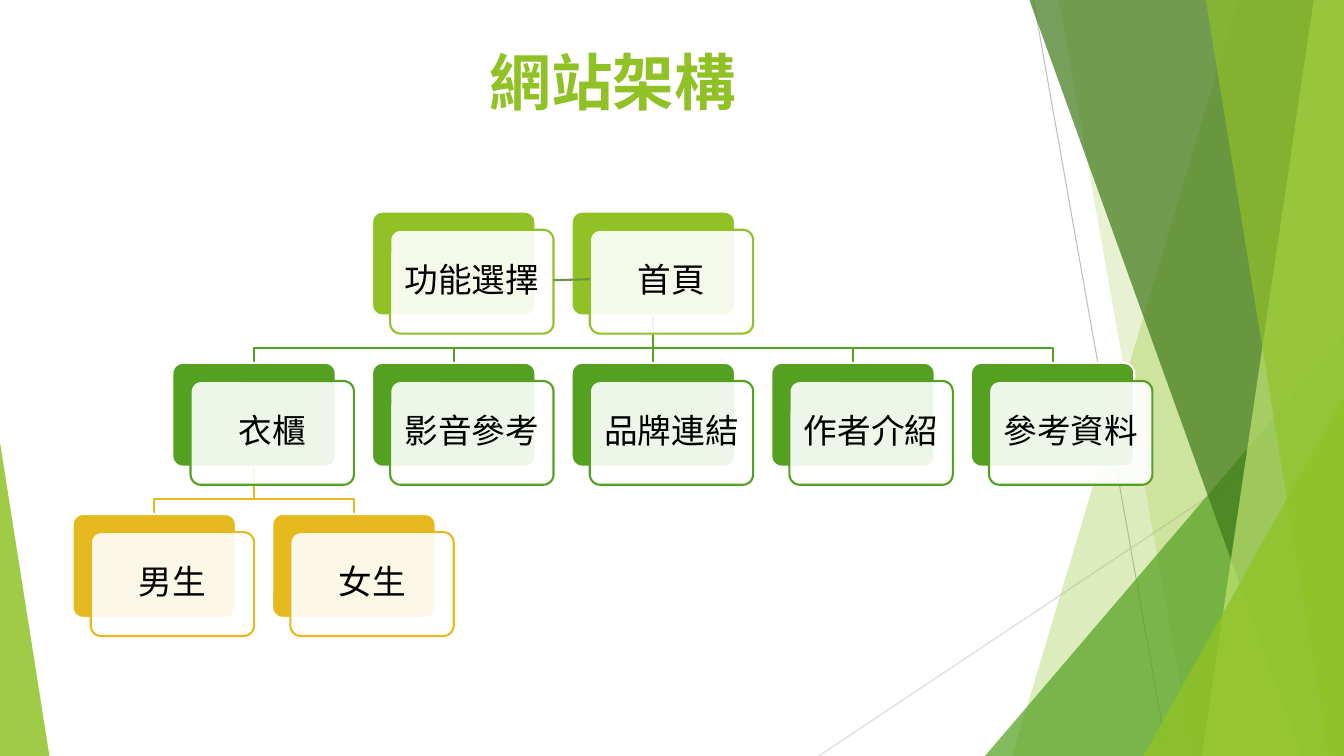
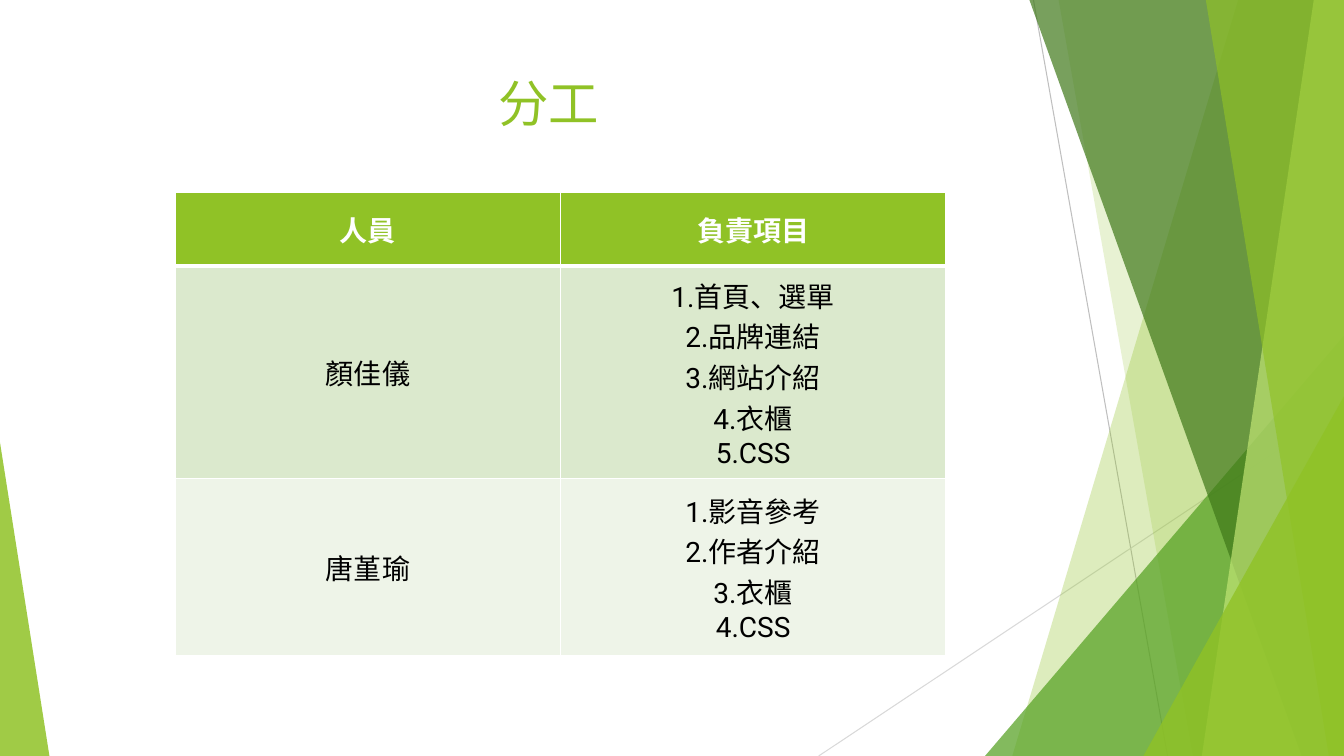
from lxml.etree import SubElement
from pptx import Presentation
from pptx.dml.color import RGBColor
from pptx.enum.shapes import MSO_CONNECTOR, MSO_SHAPE
from pptx.enum.text import MSO_ANCHOR, PP_ALIGN
from pptx.oxml.ns import qn
from pptx.util import Inches, Pt

STRAIGHT = MSO_CONNECTOR.STRAIGHT
TRIANGLE = MSO_SHAPE.ISOSCELES_TRIANGLE
ROUNDED = MSO_SHAPE.ROUNDED_RECTANGLE
MIDDLE = MSO_ANCHOR.MIDDLE
CENTER = PP_ALIGN.CENTER

WIDTH, HEIGHT = 13.33, 7.5
FONT = "Roboto"
COLORS = {
    "lime": "90C226", "green": "54A021", "gold": "E6B91E",
    "forest": "3F7819", "pale lime": "C0E474", "link": "699841",
    "gray": "BFBFBF", "light gray": "D9D9D9",
    "band dark": "DBE9CD", "band light": "EEF4E8",
    "white": "FFFFFF", "black": "000000",
}

# Organisation chart grid
CARD_WIDTH, CARD_HEIGHT, CARD_SHIFT = 1.62, 1.03, 0.18
GRID_LEFT, GRID_TOP = 1.71, 2.1
COLUMN_STEP, ROW_STEP, BRANCH_DROP = 1.98, 1.5, 0.32


def color(name):
    return RGBColor.from_string(COLORS[name])


def card_corner(column, row):
    return GRID_LEFT + column * COLUMN_STEP, GRID_TOP + row * ROW_STEP


class Slides:
    """Holds the deck, its style and the current page."""

    def __init__(self):
        self.deck = Presentation()
        self.deck.slide_width = Inches(WIDTH)
        self.deck.slide_height = Inches(HEIGHT)
        self.page = None

    def new_page(self):
        self.page = self.deck.slides.add_slide(self.deck.slide_layouts[6])
        self.backdrop()

    def paint(self, shape, fill=None, opacity=100, line=None):
        shape.shadow.inherit = False
        if fill:
            shape.fill.solid()
            shape.fill.fore_color.rgb = color(fill)
            if opacity < 100:
                solid = shape._element.spPr.find(qn("a:solidFill"))
                SubElement(solid[0], qn("a:alpha"), val=str(opacity * 1000))
        else:
            shape.fill.background()
        if line:
            shape.line.color.rgb = color(line)
            shape.line.width = Pt(1.5)
        else:
            shape.line.fill.background()

    def line(self, start, end, line, width=1.5):
        connector = self.page.shapes.add_connector(
            STRAIGHT, *[Inches(value) for value in (*start, *end)])
        connector.line.color.rgb = color(line)
        connector.line.width = Pt(width)
        SubElement(connector._element.spPr, qn("a:effectLst"))

    def outline(self, points, closed=True, **style):
        corners = [(Inches(x), Inches(y)) for x, y in points]
        builder = self.page.shapes.build_freeform(*corners[0])
        builder.add_line_segments(corners[1:], close=closed)
        self.paint(builder.convert_to_shape(), **style)

    def shape(self, kind, left, top, width, height, adjust, **style):
        shape = self.page.shapes.add_shape(
            kind, Inches(left), Inches(top), Inches(width), Inches(height))
        shape.adjustments[0] = adjust
        self.paint(shape, **style)
        return shape

    def set_text(self, frame, lines, size, ink, bold=False):
        frame.word_wrap = True
        for index, words in enumerate(lines):
            para = frame.add_paragraph() if index else frame.paragraphs[0]
            para.text = words
            para.alignment = CENTER
            para.font.name = FONT
            para.font.size = Pt(size)
            para.font.bold = bold
            para.font.color.rgb = color(ink)

    def title(self, words, left, top, size, bold=False):
        box = self.page.shapes.add_textbox(
            Inches(left), Inches(top), Inches(9.4), Inches(1.44))
        self.set_text(box.text_frame, [words], size, "lime", bold)

    def backdrop(self):
        """Thin lines and translucent facets shared by every page."""
        self.line((10.25, 0), (11.58, HEIGHT), "gray", 0.75)
        self.line((WIDTH, 4.03), (8.12, HEIGHT), "light gray", 0.75)
        self.facet(12.28, 10.04, "lime", 30)
        self.facet(10.5, 11.83, "lime", 20)
        self.corner(9.77, 3.56, 4.17, 1, "green", 72)
        self.facet(10.21, 12.91, "forest", 70)
        self.facet(13.03, 11.92, "pale lime", 70)
        self.facet(11.96, 13.18, "lime", 65)
        self.corner(11.34, 1.99, 3.57, 1, "lime", 80)
        self.corner(0, 0.49, 3.11, 0, "lime", 85)

    def facet(self, top_x, bottom_x, fill, opacity):
        self.outline([(top_x, 0), (WIDTH, 0), (WIDTH, HEIGHT),
                      (bottom_x, HEIGHT)], fill=fill, opacity=opacity)

    def corner(self, left, width, height, peak, fill, opacity):
        self.shape(TRIANGLE, left, HEIGHT - height, width, height, peak,
                   fill=fill, opacity=opacity)

    def card(self, words, column, row, accent):
        left, top = card_corner(column, row)
        self.shape(ROUNDED, left, top, CARD_WIDTH, CARD_HEIGHT, 0.1,
                   fill=accent, line="white")
        front = self.shape(ROUNDED, left + CARD_SHIFT, top + CARD_SHIFT,
                           CARD_WIDTH, CARD_HEIGHT, 0.1,
                           fill="white", opacity=90, line=accent)
        frame = front.text_frame
        frame.vertical_anchor = MIDDLE
        frame.margin_left = frame.margin_right = Inches(0.1)
        frame.margin_top = frame.margin_bottom = Inches(0.1)
        self.set_text(frame, [words], 24, "black")
        frame.paragraphs[0].line_spacing = 0.9

    def branch(self, parent, child, row, accent):
        """Line from a card in the row above down to a child card."""
        parent_left, parent_top = card_corner(parent, row - 1)
        child_left, child_top = card_corner(child, row)
        start_x, end_x = parent_left + CARD_WIDTH / 2, child_left + CARD_WIDTH / 2
        start_y = parent_top + CARD_HEIGHT
        if parent == child:
            self.line((start_x, start_y), (end_x, child_top), accent)
        else:
            bend = start_y + BRANCH_DROP
            self.outline([(start_x, start_y), (start_x, bend), (end_x, bend),
                          (end_x, child_top)], closed=False, line=accent)

    def table(self, left, top, widths, heights, rows, fills):
        grid = self.page.shapes.add_table(
            len(heights), len(widths), Inches(left), Inches(top),
            Inches(sum(widths)), Inches(sum(heights))).table
        for column, width in zip(grid.columns, widths):
            column.width = Inches(width)
        for index, (height, texts, fill) in enumerate(zip(heights, rows, fills)):
            grid.rows[index].height = Inches(height)
            header = index == 0
            for cell, lines in zip(grid.rows[index].cells, texts):
                self.borders(cell, top=3 if index == 1 else 1,
                             bottom=3 if header else 1)
                cell.fill.solid()
                cell.fill.fore_color.rgb = color(fill)
                cell.vertical_anchor = MIDDLE
                self.set_text(cell.text_frame, lines, 20,
                              "white" if header else "black", header)

    def borders(self, cell, top, bottom):
        properties = cell._tc.get_or_add_tcPr()
        for side, width in (("L", 1), ("R", 1), ("T", top), ("B", bottom)):
            edge = SubElement(properties, qn("a:ln" + side), w=str(Pt(width)))
            solid = SubElement(edge, qn("a:solidFill"))
            SubElement(solid, qn("a:srgbClr"), val=COLORS["white"])


def site_structure(slides):
    slides.new_page()
    slides.title("網站架構", 1.38, 0.39, 44, bold=True)
    sections = ["衣櫃", "影音參考", "品牌連結", "作者介紹", "參考資料"]
    wardrobes = [("男生", -0.5), ("女生", 0.5)]
    # Branches lie behind the cards
    for column in range(len(sections)):
        slides.branch(2, column, 1, "green")
    for _, column in wardrobes:
        slides.branch(0, column, 2, "gold")
    # Cards, row by row
    slides.card("功能選擇", 1, 0, "lime")
    slides.card("首頁", 2, 0, "lime")
    for column, words in enumerate(sections):
        slides.card(words, column, 1, "green")
    for words, column in wardrobes:
        slides.card(words, column, 2, "gold")
    slides.line((5.49, 2.78), (5.85, 2.77), "link")


def work_division(slides):
    slides.new_page()
    slides.title("分工", 0.74, 0.67, 36)
    slides.table(
        1.74, 1.91, [3.82, 3.82], [0.73, 2.11, 1.75],
        [
            (["人員"], ["負責項目"]),
            (["顏佳儀"], ["1.首頁、選單", "2.品牌連結", "3.網站介紹",
                       "4.衣櫃", "5.CSS"]),
            (["唐堇瑜"], ["1.影音參考", "2.作者介紹", "3.衣櫃", "4.CSS"]),
        ],
        ["lime", "band dark", "band light"])


def main():
    slides = Slides()
    site_structure(slides)
    work_division(slides)
    slides.deck.save("out.pptx")


if __name__ == "__main__":
    main()
